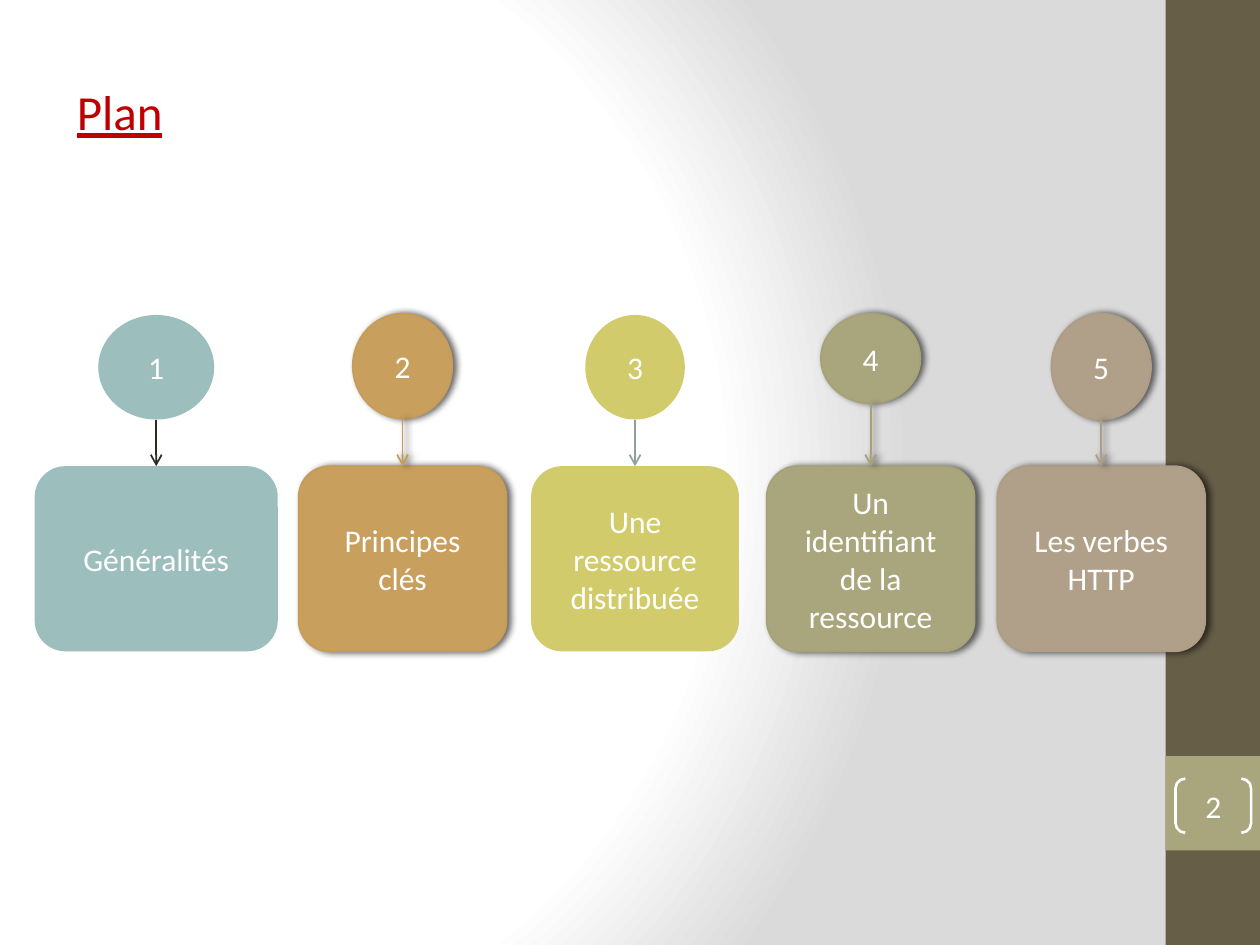
from lxml.etree import SubElement
from pptx import Presentation
from pptx.dml.color import RGBColor
from pptx.enum.shapes import MSO_CONNECTOR, MSO_SHAPE
from pptx.enum.text import MSO_ANCHOR, MSO_AUTO_SIZE, PP_ALIGN
from pptx.oxml import parse_xml
from pptx.oxml.ns import nsdecls, qn
from pptx.util import Inches, Pt

COLUMNS, ROWS = 100, 75
WHITE = RGBColor(0xFF, 0xFF, 0xFF)
GREY = RGBColor(0xDA, 0xDA, 0xDA)
RED = RGBColor(0xC0, 0x00, 0x00)
DARK_OLIVE = RGBColor(0x67, 0x5E, 0x47)
OLIVE = RGBColor(0xA9, 0xA5, 0x7C)
OLIVE_LINE = RGBColor(0xA6, 0xA2, 0x78)
TEAL = RGBColor(0x9C, 0xBE, 0xBD)
OCHRE = RGBColor(0xC8, 0x9F, 0x5D)
OCHRE_LINE = RGBColor(0xC6, 0x9C, 0x58)
YELLOW = RGBColor(0xD2, 0xCB, 0x6C)
TAUPE = RGBColor(0xB1, 0xA0, 0x89)
TAUPE_LINE = RGBColor(0xAE, 0x9D, 0x85)
BLACK = RGBColor(0x2E, 0x2A, 0x1F)
SLATE = RGBColor(0x91, 0xA0, 0x9A)

BOX_TOP, BOX_HEIGHT = 37, 14.7
# label, centre, box width, circle (top, width, height), fill, arrow colour, raised
STEPS = [
    ("Généralités", 12.4, 19.3, (25, 9.2, 8.3), TEAL, BLACK, False),
    ("Principes clés", 31.95, 16.5, (24.9, 7.9, 8.3), OCHRE, OCHRE_LINE, True),
    ("Une ressource distribuée", 50.4, 16.5, (25, 7.9, 8.3), YELLOW, SLATE, False),
    ("Un identifiant de la ressource", 69.1, 16.5, (24.9, 7.9, 7.1), OLIVE, OLIVE_LINE, True),
    ("Les verbes HTTP", 87.4, 16.5, (24.9, 7.9, 8.4), TAUPE, TAUPE_LINE, True),
]


class PlanSlide:
    def __init__(self, presentation):
        self.cell_width = presentation.slide_width / COLUMNS
        self.cell_height = presentation.slide_height / ROWS
        self.slide = presentation.slides.add_slide(presentation.slide_layouts[5])
        self.text_format = {"name": "Calibri", "size": Pt(18)}

    def place(self, *lengths):
        """Turn alternating columns and rows into slide lengths."""
        sizes = (self.cell_width, self.cell_height)
        return [round(length * sizes[i % 2]) for i, length in enumerate(lengths)]

    def set_text(self, text_frame, text, align, color, **changes):
        text_frame.text = text
        paragraph = text_frame.paragraphs[0]
        paragraph.alignment = align
        for name, value in {**self.text_format, **changes}.items():
            setattr(paragraph.font, name, value)
        paragraph.font.color.rgb = color

    def background(self, stops, focus):
        stop_xml = "".join(
            f'<a:gs pos="{position * 1000}"><a:srgbClr val="{color}"/></a:gs>'
            for position, color in stops)
        focus_xml = " ".join(f'{side}="{share * 1000}"' for side, share in focus.items())
        self.slide.element.cSld.insert(0, parse_xml(
            f'<p:bg {nsdecls("p", "a")}><p:bgPr><a:gradFill rotWithShape="1">'
            f'<a:gsLst>{stop_xml}</a:gsLst><a:path path="circle">'
            f'<a:fillToRect {focus_xml}/></a:path></a:gradFill>'
            '<a:effectLst/></p:bgPr></p:bg>'))

    def title(self, text, *area):
        title = self.slide.shapes.title
        title.left, title.top, title.width, title.height = self.place(*area)
        frame = title.text_frame
        settings = {"word_wrap": False, "auto_size": MSO_AUTO_SIZE.SHAPE_TO_FIT_TEXT,
                    "vertical_anchor": MSO_ANCHOR.TOP}
        for name, value in settings.items():
            setattr(frame, name, value)
        self.set_text(frame, text, PP_ALIGN.LEFT, RED, size=Pt(28), underline=True)

    def shape(self, kind, area, fill=None, line=None, text="", parent=None, line_width=1):
        shape = (parent or self.slide).shapes.add_shape(kind, *self.place(*area))
        shape.shadow.inherit = False
        if fill is None:
            shape.fill.background()
        else:
            shape.fill.solid()
            shape.fill.fore_color.rgb = fill
        if line is None:
            shape.line.fill.background()
        else:
            shape.line.color.rgb = line
            shape.line.width = Pt(line_width)
        if text:
            shape.text_frame.word_wrap = True
            shape.text_frame.vertical_anchor = MSO_ANCHOR.MIDDLE
            self.set_text(shape.text_frame, text, PP_ALIGN.CENTER, WHITE)
        return shape

    def arrow(self, parent, start, target, color):
        """Draw an arrow from a point to the top of the target box."""
        begin = self.place(*start)
        connector = parent.shapes.add_connector(
            MSO_CONNECTOR.STRAIGHT, *begin, begin[0], target.top)
        connector.end_connect(target, 0)
        connector.line.color.rgb = color
        connector.line.width = Pt(1)
        properties = connector._element.spPr
        SubElement(properties.find(qn("a:ln")), qn("a:tailEnd"), type="arrow")
        SubElement(properties, qn("a:effectLst"))
        return connector

    def raise_up(self, shape):
        """Give the shape a soft shadow to its right."""
        effects = shape._element.spPr.find(qn("a:effectLst"))
        shadow = SubElement(effects, qn("a:outerShdw"), blurRad=str(int(Pt(4))),
                            dist=str(int(Pt(2))), dir="0", rotWithShape="0")
        color = SubElement(shadow, qn("a:srgbClr"), val="000000")
        SubElement(color, qn("a:alpha"), val="60000")

    def step(self, number, label, center, width, circle, fill, color, raised):
        group = self.slide.shapes.add_group_shape()
        top, circle_width, circle_height = circle
        outline = color if raised else None
        disc = self.shape(MSO_SHAPE.OVAL,
                          (center - circle_width / 2, top, circle_width, circle_height),
                          fill, outline, str(number), group)
        box = self.shape(MSO_SHAPE.ROUNDED_RECTANGLE,
                         (center - width / 2, BOX_TOP, width, BOX_HEIGHT),
                         fill, outline, label, group)
        arrow = self.arrow(group, (center, top + circle_height), box, color)
        if raised:
            for part in (disc, box, arrow):
                self.raise_up(part)

    def page_number(self, text, *area):
        bracket = self.shape(MSO_SHAPE.DOUBLE_BRACKET, area, line=WHITE, text=text,
                             line_width=1.5)
        bracket.adjustments[0] = 0.18
        for side in ("left", "top", "right", "bottom"):
            setattr(bracket.text_frame, f"margin_{side}", 0)


def main():
    presentation = Presentation()
    presentation.slide_width, presentation.slide_height = Inches(10), Inches(7.5)
    plan = PlanSlide(presentation)
    plan.background([(0, WHITE), (75, WHITE), (100, GREY)],
                    {"l": 20, "t": 50, "r": 100, "b": 50})
    plan.shape(MSO_SHAPE.RECTANGLE, (92.5, 0, 7.5, ROWS), DARK_OLIVE)
    plan.shape(MSO_SHAPE.RECTANGLE, (92.5, 60, 7.5, 7.5), OLIVE)
    for number, step in enumerate(STEPS, 1):
        plan.step(number, *step)
    plan.title("Plan", 5.1, 6, 10.5, 5.7)
    plan.page_number("2", 93.3, 61.8, 6, 4.3)
    presentation.save("out.pptx")


if __name__ == "__main__":
    main()
